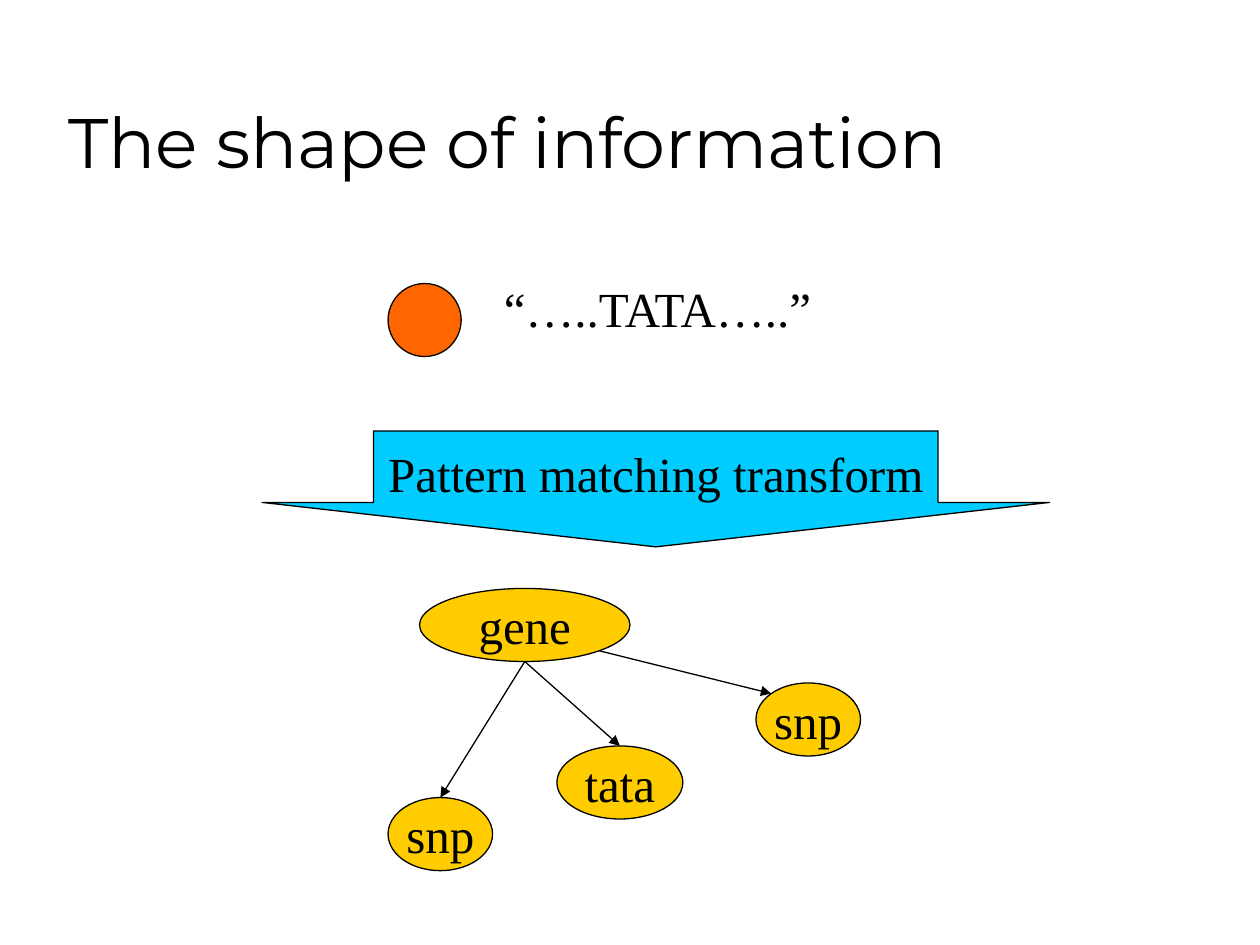
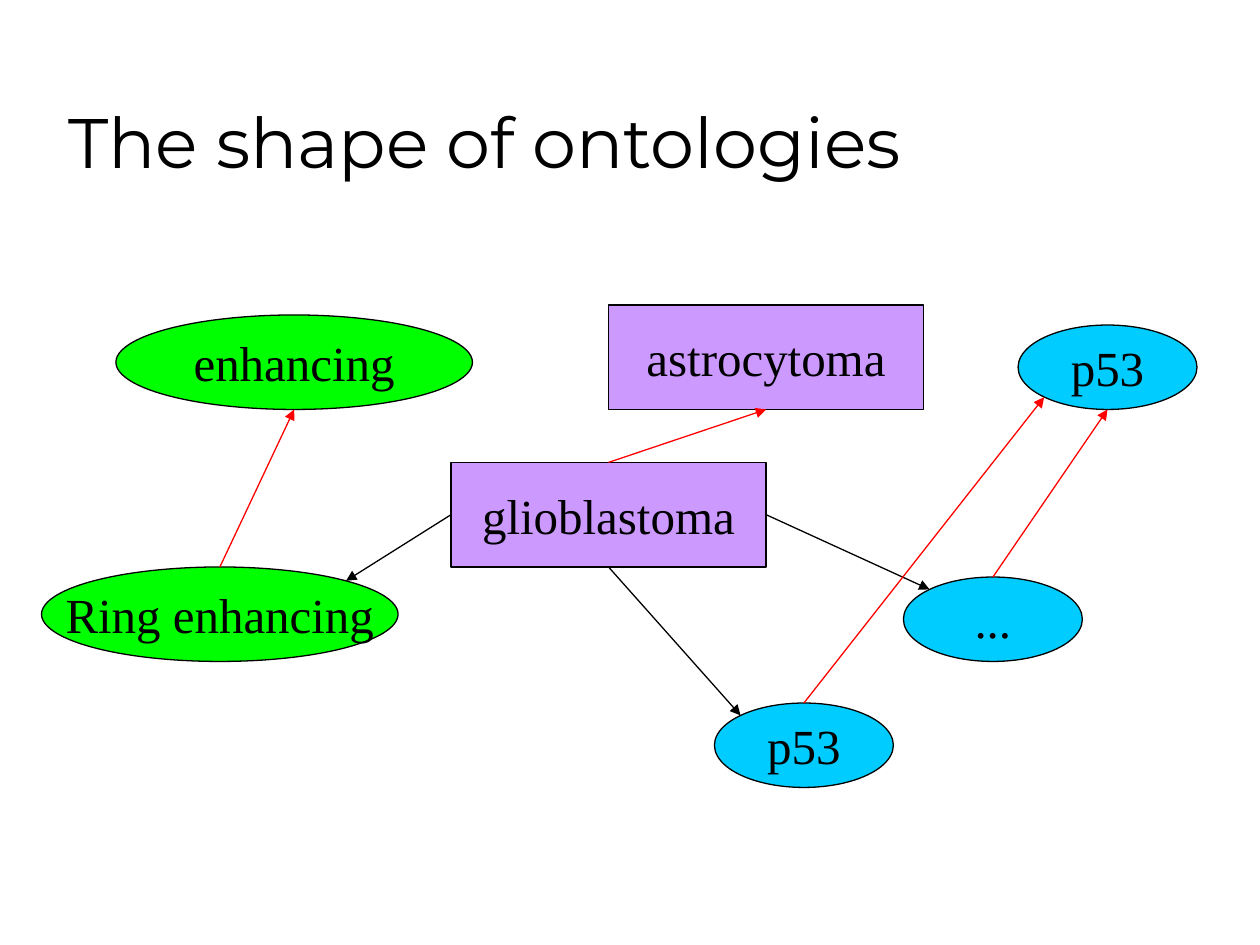
from dataclasses import dataclass

from lxml.etree import SubElement
from pptx import Presentation
from pptx.dml.color import RGBColor
from pptx.enum.shapes import MSO_CONNECTOR as Connector, MSO_SHAPE as Shape
from pptx.enum.text import MSO_ANCHOR as Anchor, MSO_AUTO_SIZE as AutoSize, PP_ALIGN as Align
from pptx.oxml.ns import qn
from pptx.util import Inches, Pt

BLACK = RGBColor(0x00, 0x00, 0x00)
RED = RGBColor(0xFF, 0x00, 0x00)
ORANGE = RGBColor(0xFF, 0x66, 0x00)
GOLD = RGBColor(0xFF, 0xCC, 0x00)
SKY = RGBColor(0x00, 0xCC, 0xFF)
GREEN = RGBColor(0x00, 0xFF, 0x00)
VIOLET = RGBColor(0xCC, 0x99, 0xFF)

TITLE_FONT = {"name": "Montserrat", "size": Pt(40)}
BODY_FONT = {"name": "Times New Roman", "size": Pt(28)}
MARGINS = {
    "margin_left": Inches(0.1), "margin_right": Inches(0.1),
    "margin_top": Inches(0.05), "margin_bottom": Inches(0.05),
}
TITLE_FRAME = MARGINS | {
    "vertical_anchor": Anchor.BOTTOM, "word_wrap": True, "auto_size": AutoSize.NONE,
}
NODE_FRAME = MARGINS | {"vertical_anchor": Anchor.MIDDLE, "word_wrap": False}
LABEL_FRAME = MARGINS | {"word_wrap": False, "auto_size": AutoSize.SHAPE_TO_FIT_TEXT}

LINE_WIDTH = Pt(0.75)
NEAR, FAR = 0.146, 0.854  # where an ellipse's 45-degree points fall in its box
SITES = {
    "top": (0.5, 0), "left": (0, 0.5), "bottom": (0.5, 1), "right": (1, 0.5),
    "top left": (NEAR, NEAR), "top right": (FAR, NEAR),
    "bottom left": (NEAR, FAR), "bottom right": (FAR, FAR),
}
SIDES = ["top", "left", "bottom", "right"]


@dataclass
class Box:
    """An area in inches."""
    left: float
    top: float
    width: float
    height: float

    def inside(self, left, top, width, height):
        return Box(self.left + left, self.top + top, width, height)

    def lengths(self):
        return [Inches(value) for value in (self.left, self.top, self.width, self.height)]


TITLE_BOX = Box(0.44, 0.25, 8.5, 1.25)


def assign(target, values):
    for name, value in values.items():
        setattr(target, name, value)


def write(shape, text, frame_format, font_format, align):
    frame = shape.text_frame
    assign(frame, frame_format)
    para = frame.paragraphs[0]
    para.alignment = align
    span = para.add_run()
    span.text = text
    assign(span.font, font_format)
    span.font.color.rgb = BLACK


def add_titled_page(deck, title):
    page = deck.slides.add_slide(deck.slide_layouts[5])
    assign(page.shapes.title, dict(zip(("left", "top", "width", "height"), TITLE_BOX.lengths())))
    write(page.shapes.title, title, TITLE_FRAME, TITLE_FONT, Align.LEFT)
    return page


def add_node(page, kind, box, fill, text=""):
    node = page.shapes.add_shape(kind, *box.lengths())
    node.shadow.inherit = False
    node.fill.solid()
    node.fill.fore_color.rgb = fill
    node.line.color.rgb = BLACK
    node.line.width = LINE_WIDTH
    if text:
        write(node, text, NODE_FRAME, BODY_FONT, Align.CENTER)
    return node


def site_point(node, site):
    across, down = SITES[site]
    return int(node.left + node.width * across), int(node.top + node.height * down)


def add_link(page, start, start_site, end, end_site, color=BLACK):
    """Draw an arrow between named sites of two nodes."""
    link = page.shapes.add_connector(
        Connector.STRAIGHT, *site_point(start, start_site), *site_point(end, end_site))
    for node, site, join in ((start, start_site, link.begin_connect),
                             (end, end_site, link.end_connect)):
        if node.auto_shape_type == Shape.RECTANGLE and site in SIDES:
            join(node, SIDES.index(site))
    link.line.color.rgb = color
    link.line.width = LINE_WIDTH
    SubElement(link.line._get_or_add_ln(), qn("a:tailEnd"), type="triangle")
    SubElement(link._element.spPr, qn("a:effectLst"))


def draw_sequence(page, box):
    add_node(page, Shape.OVAL, box.inside(0, 0.09, 0.58, 0.58), ORANGE)
    label = page.shapes.add_textbox(*box.inside(0.82, 0, 2.74, 0.57).lengths())
    write(label, "“…..TATA…..”", LABEL_FRAME, BODY_FONT, Align.LEFT)


def draw_transform(page, box):
    arrow = add_node(page, Shape.DOWN_ARROW, box, SKY, "Pattern matching transform")
    arrow.adjustments[0] = 0.717
    arrow.adjustments[1] = 0.383


def draw_gene_tree(page, box):
    def gene_node(text, left, top, width):
        return add_node(page, Shape.OVAL, box.inside(left, top, width, 0.58), GOLD, text)

    gene = gene_node("gene", 0.25, 0, 1.67)
    tata = gene_node("tata", 1.34, 1.25, 1)
    right_snp = gene_node("snp", 2.92, 0.75, 0.83)
    left_snp = gene_node("snp", 0, 1.66, 0.83)
    add_link(page, gene, "bottom", tata, "top")
    add_link(page, gene, "bottom right", right_snp, "top left")
    add_link(page, gene, "bottom", left_snp, "top")


def draw_ontologies(page, box):
    def tumor(text, left, top):
        return add_node(page, Shape.RECTANGLE, box.inside(left, top, 2.5, 0.83), VIOLET, text)

    def finding(text, left, top):
        return add_node(page, Shape.OVAL, box.inside(left, top, 2.83, 0.75), GREEN, text)

    def marker(text, left, top):
        return add_node(page, Shape.OVAL, box.inside(left, top, 1.42, 0.67), SKY, text)

    glioblastoma = tumor("glioblastoma", 3.25, 1.25)
    astrocytoma = tumor("astrocytoma", 4.5, 0)
    ring_enhancing = finding("Ring enhancing", 0, 2.08)
    enhancing = finding("enhancing", 0.59, 0.08)
    lower_p53 = marker("p53", 5.34, 3.16)
    other_marker = marker("...", 6.84, 2.16)
    upper_p53 = marker("p53", 7.75, 0.16)

    for site, target, target_site in (
        ("left", ring_enhancing, "top right"),
        ("bottom", lower_p53, "top left"),
        ("right", other_marker, "top left"),
    ):
        add_link(page, glioblastoma, site, target, target_site)
    for child, parent, parent_site in (
        (ring_enhancing, enhancing, "bottom"),
        (other_marker, upper_p53, "bottom"),
        (lower_p53, upper_p53, "bottom left"),
        (glioblastoma, astrocytoma, "bottom"),
    ):
        add_link(page, child, "top", parent, parent_site, RED)


def main():
    deck = Presentation()
    deck.slide_width, deck.slide_height = Inches(10), Inches(7.5)

    page = add_titled_page(deck, "The shape of information")
    draw_sequence(page, Box(3.08, 2.16, 3.56, 0.67))
    draw_gene_tree(page, Box(3.08, 4.67, 3.75, 2.24))
    draw_transform(page, Box(2.08, 3.42, 6.25, 0.92))

    page = add_titled_page(deck, "The shape of ontologies")
    draw_ontologies(page, Box(0.33, 2.42, 9.17, 3.83))

    deck.save("out.pptx")


if __name__ == "__main__":
    main()
